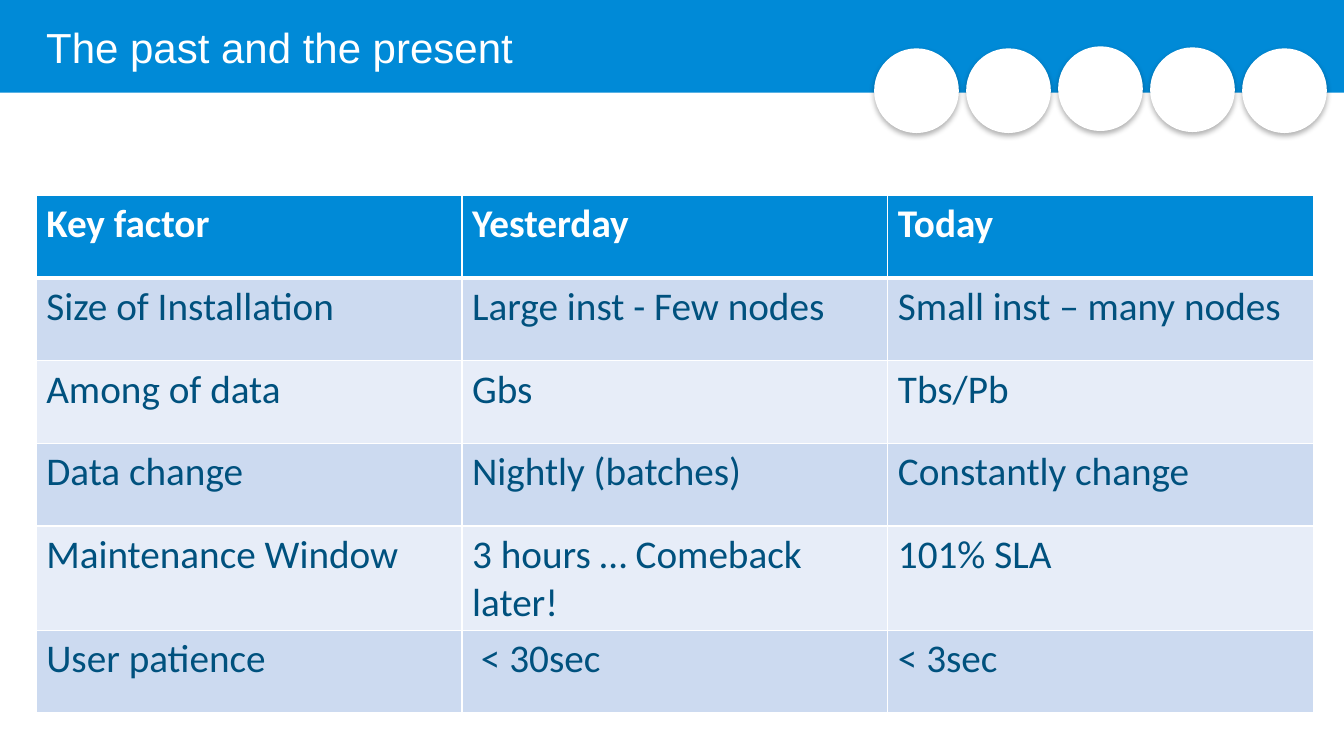
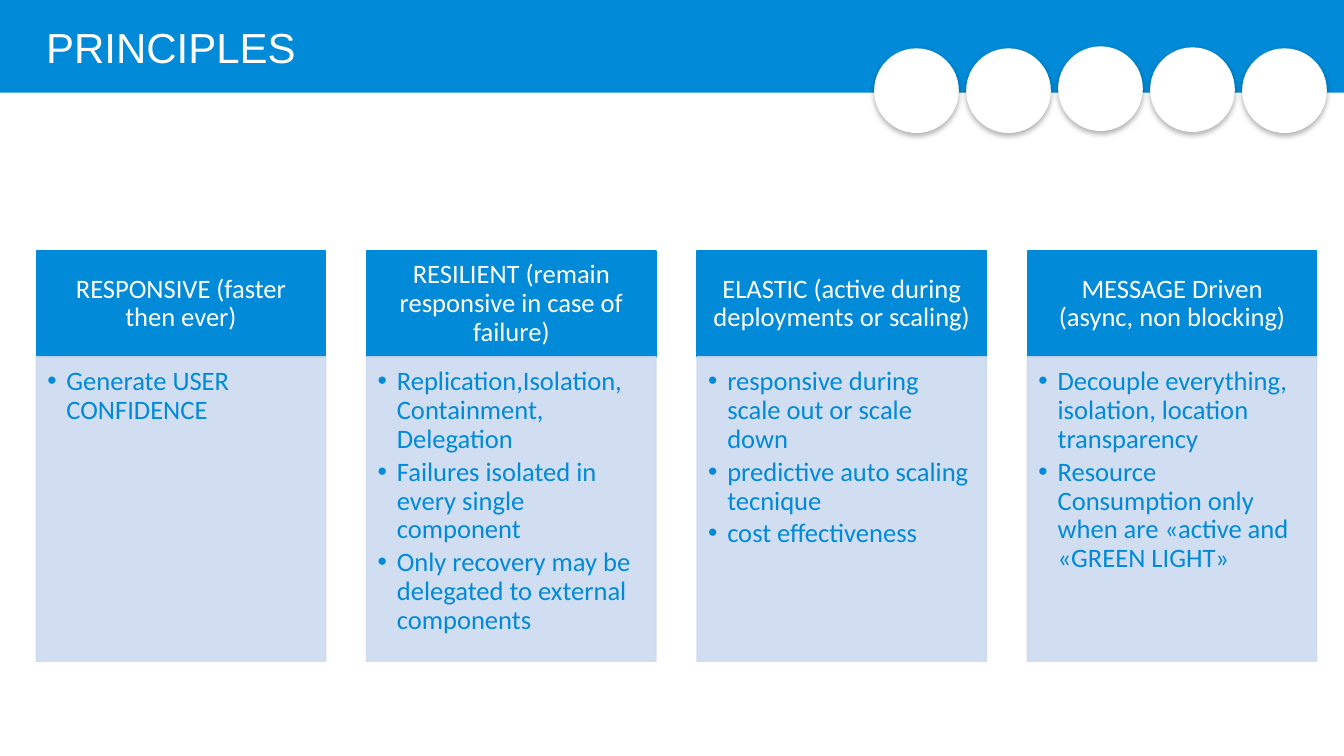
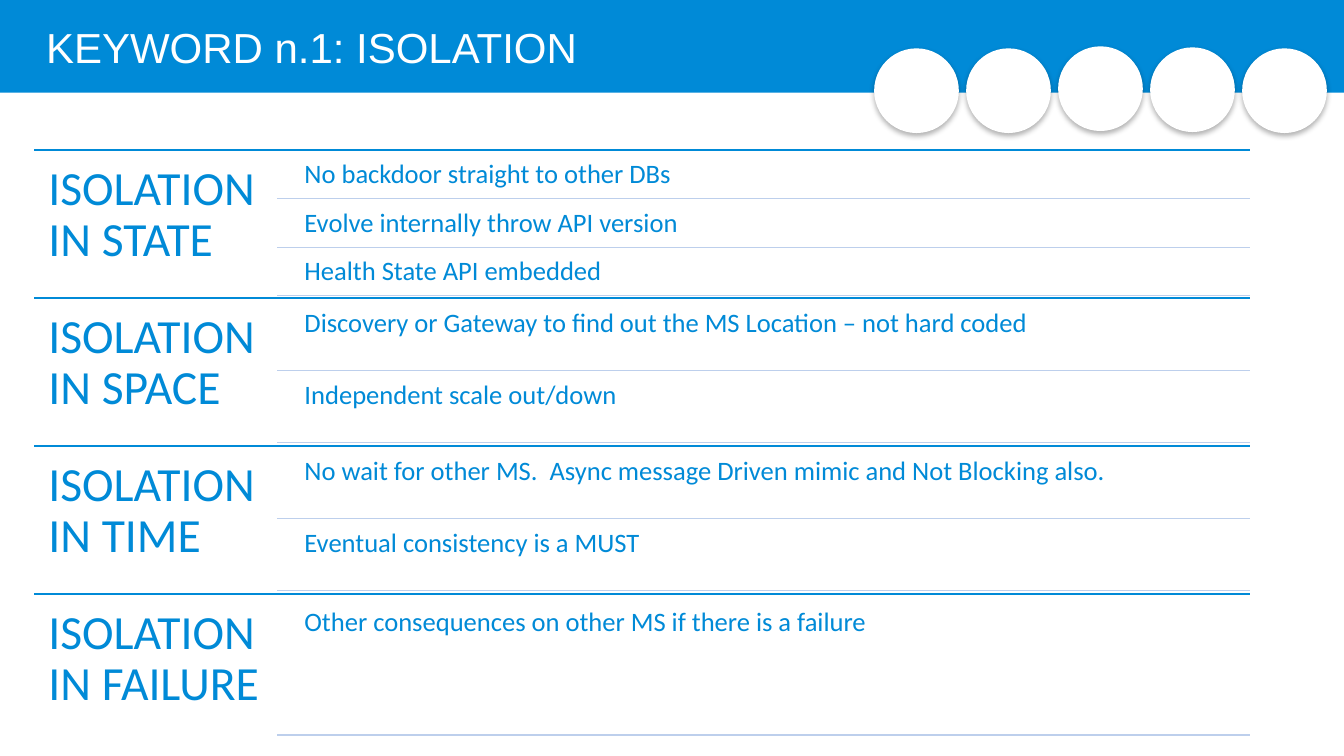
from lxml import etree
from pptx import Presentation
from pptx import util as u
from pptx.dml.color import RGBColor
from pptx.enum import shapes, text
from pptx.oxml import ns

PX = 9144  # EMU per px, 100 px to the inch
BLUE, NAVY, WHITE = "008AD7", "00517E", "FFFFFF"
PALE, PALER, RULE = "CCDAF0", "E7EDF8", "BDCFEC"
BODY, HEAD = "Calibri", "Arial"
LEFT = 36

FACTORS = [
    ("Key factor", "Yesterday", "Today"),
    ("Size of Installation", "Large inst - Few nodes", "Small inst – many nodes"),
    ("Among of data", "Gbs", "Tbs/Pb"),
    ("Data change", "Nightly (batches)", "Constantly change"),
    ("Maintenance Window", "3 hours … Comeback later!", "101% SLA"),
    ("User patience", " < 30sec", "< 3sec"),
]
PRINCIPLES = [
    ("RESPONSIVE (faster then ever)", ["Generate USER CONFIDENCE"]),
    ("RESILIENT (remain responsive in case of failure)",
     ["Replication,Isolation, Containment, Delegation",
      "Failures isolated in every single component",
      "Only recovery may be delegated to external components"]),
    ("ELASTIC (active during deployments or scaling)",
     ["responsive during scale out or scale down",
      "predictive auto scaling tecnique",
      "cost effectiveness"]),
    ("MESSAGE Driven (async, non blocking)",
     ["Decouple everything, isolation, location transparency",
      "Resource Consumption only when are «active and «GREEN LIGHT»"]),
]
ISOLATIONS = [
    ("ISOLATION IN STATE",
     ["No backdoor straight to other DBs",
      "Evolve internally throw API version",
      "Health State API embedded"]),
    ("ISOLATION IN SPACE",
     ["Discovery or Gateway to find out the MS Location – not hard coded",
      "Independent scale out/down"]),
    ("ISOLATION IN TIME",
     ["No wait for other MS.  Async message Driven mimic and Not Blocking also.",
      "Eventual consistency is a MUST"]),
    ("ISOLATION IN FAILURE",
     ["Other consequences on other MS if there is a failure"]),
]


def px(n):
    return u.Emu(round(n * PX))


def rgb(color):
    return RGBColor.from_string(color)


def sub(parent, tag, **attrs):
    """Append a DrawingML element."""
    el = etree.SubElement(parent, ns.qn(tag))
    for name, value in attrs.items():
        el.set(name, str(value))
    return el


# Text
def style(p, size, color, font=BODY, bold=False, spacing=0.9):
    f = p.font
    f.size, f.name, f.bold = u.Pt(size), font, bold
    f.color.rgb = rgb(color)
    p.line_spacing = spacing


def bullet(p, indent):
    pPr = p._p.get_or_add_pPr()
    pPr.set("marL", str(px(indent)))
    pPr.set("indent", str(-px(indent)))
    p.space_after = u.Pt(3)
    sub(pPr, "a:buFont", typeface="Arial")
    sub(pPr, "a:buChar", char="•")


def fill_text(sp, lines, size, color, insets, font=BODY,
              anchor=text.MSO_ANCHOR.TOP, align=text.PP_ALIGN.LEFT, indent=0):
    tf = sp.text_frame
    tf.word_wrap = True
    tf.vertical_anchor = anchor
    tf.margin_left, tf.margin_top, tf.margin_right, tf.margin_bottom = map(px, insets)
    tf.text = "\n".join(lines)
    for p in tf.paragraphs:
        style(p, size, color, font)
        p.alignment = align
        if indent:
            bullet(p, indent)


def label(s, box, line, size, color, insets, **options):
    sp = s.shapes.add_textbox(*map(px, box))
    fill_text(sp, [line], size, color, insets, **options)


# Shapes and lines
def shape(s, kind, box, fill, outline=False, alpha=None):
    sp = s.shapes.add_shape(kind, *map(px, box))
    sp.shadow.inherit = False
    sp.fill.solid()
    sp.fill.fore_color.rgb = rgb(fill)
    if outline:
        sp.line.color.rgb = rgb(fill)
        sp.line.width = u.Pt(1)
    else:
        sp.line.fill.background()
    if alpha:
        for clr in sp._element.spPr.iter(ns.qn("a:srgbClr")):
            sub(clr, "a:alpha", val=alpha * 1000)
    return sp


def soft_shadow(sp):
    effects = sp._element.spPr.find(ns.qn("a:effectLst"))
    shadow = sub(effects, "a:outerShdw", blurRad=u.Pt(4), dist=u.Pt(2),
                 dir=90 * 60000, algn="t", rotWithShape=0)
    sub(sub(shadow, "a:srgbClr", val="000000"), "a:alpha", val=30000)


def rule(s, x1, x2, y, color):
    ln = s.shapes.add_connector(shapes.MSO_CONNECTOR.STRAIGHT,
                                px(x1), px(y), px(x2), px(y))
    ln.line.color.rgb = rgb(color)
    ln.line.width = u.Pt(1)
    sub(ln._element.spPr, "a:effectLst")


def cell_borders(cell, top, bottom):
    tcPr = cell._tc.get_or_add_tcPr()
    for side, width in (("L", 1), ("R", 1), ("T", top), ("B", bottom)):
        ln = sub(tcPr, "a:ln" + side, w=u.Pt(width))
        sub(sub(ln, "a:solidFill"), "a:srgbClr", val=WHITE)


# Band, circles and title on every slide
def base_slide(prs, title):
    s = prs.slides.add_slide(prs.slide_layouts[6])
    shape(s, shapes.MSO_SHAPE.RECTANGLE, (0, 0, 1333, 92), BLUE)
    for i, top in enumerate((48, 48, 46, 47, 48)):
        box = (867 + 91.25 * i, top, 84, 84)
        soft_shadow(shape(s, shapes.MSO_SHAPE.OVAL, box, WHITE))
    label(s, (LEFT, 15, 846, 69), title, 30, WHITE, (10, 5, 10, 5),
          font=HEAD, anchor=text.MSO_ANCHOR.MIDDLE)
    return s


def factor_table(s, rows):
    n, m = len(rows), len(rows[0])
    table = s.shapes.add_table(n, m, px(LEFT), px(194), px(1267), px(82 * n)).table
    for i, row in enumerate(rows):
        header = i == 0
        fill = BLUE if header else (PALER, PALE)[i % 2]
        for j, words in enumerate(row):
            cell = table.cell(i, j)
            cell.text = words
            style(cell.text_frame.paragraphs[0], 28, WHITE if header else NAVY,
                  bold=header, spacing=1.0)
            cell_borders(cell, 3 if i == 1 else 1, 3 if header else 1)
            cell.fill.solid()
            cell.fill.fore_color.rgb = rgb(fill)


def principle_card(s, left, heading, points):
    head = shape(s, shapes.MSO_SHAPE.RECTANGLE, (left, 249, 287, 105), BLUE, outline=True)
    fill_text(head, [heading], 19, WHITE, (15, 8, 15, 8),
              anchor=text.MSO_ANCHOR.MIDDLE, align=text.PP_ALIGN.CENTER)
    body = shape(s, shapes.MSO_SHAPE.RECTANGLE, (left, 354, 287, 302), PALE,
                 outline=True, alpha=90)
    fill_text(body, points, 19, BLUE, (11, 11, 15, 17), indent=19)


def isolation_group(s, top, height, heading, items):
    rule(s, 34, 1240, top, BLUE)
    label(s, (34, top, 241, height), heading, 34, BLUE, (14,) * 4)
    # The gap around items is a twentieth of their height
    n = len(items)
    item_height = height / (n + 0.05 * (n + 1))
    gap = 0.05 * item_height
    for i, item in enumerate(items):
        y = top + gap + i * (item_height + gap)
        label(s, (294, y, 947, item_height), item, 19, BLUE, (8,) * 4)
        rule(s, 275, 1240, y + item_height, RULE)


def main():
    prs = Presentation()
    prs.slide_width, prs.slide_height = px(1333), px(750)

    s = base_slide(prs, "The past and the present")
    factor_table(s, FACTORS)

    s = base_slide(prs, "PRINCIPLES")
    for i, (heading, points) in enumerate(PRINCIPLES):
        principle_card(s, LEFT + 327.67 * i, heading, points)

    s = base_slide(prs, "KEYWORD n.1: ISOLATION")
    for i, (heading, items) in enumerate(ISOLATIONS):
        isolation_group(s, 149 + 146.75 * i, 146.75, heading, items)

    prs.save("out.pptx")


if __name__ == "__main__":
    main()
